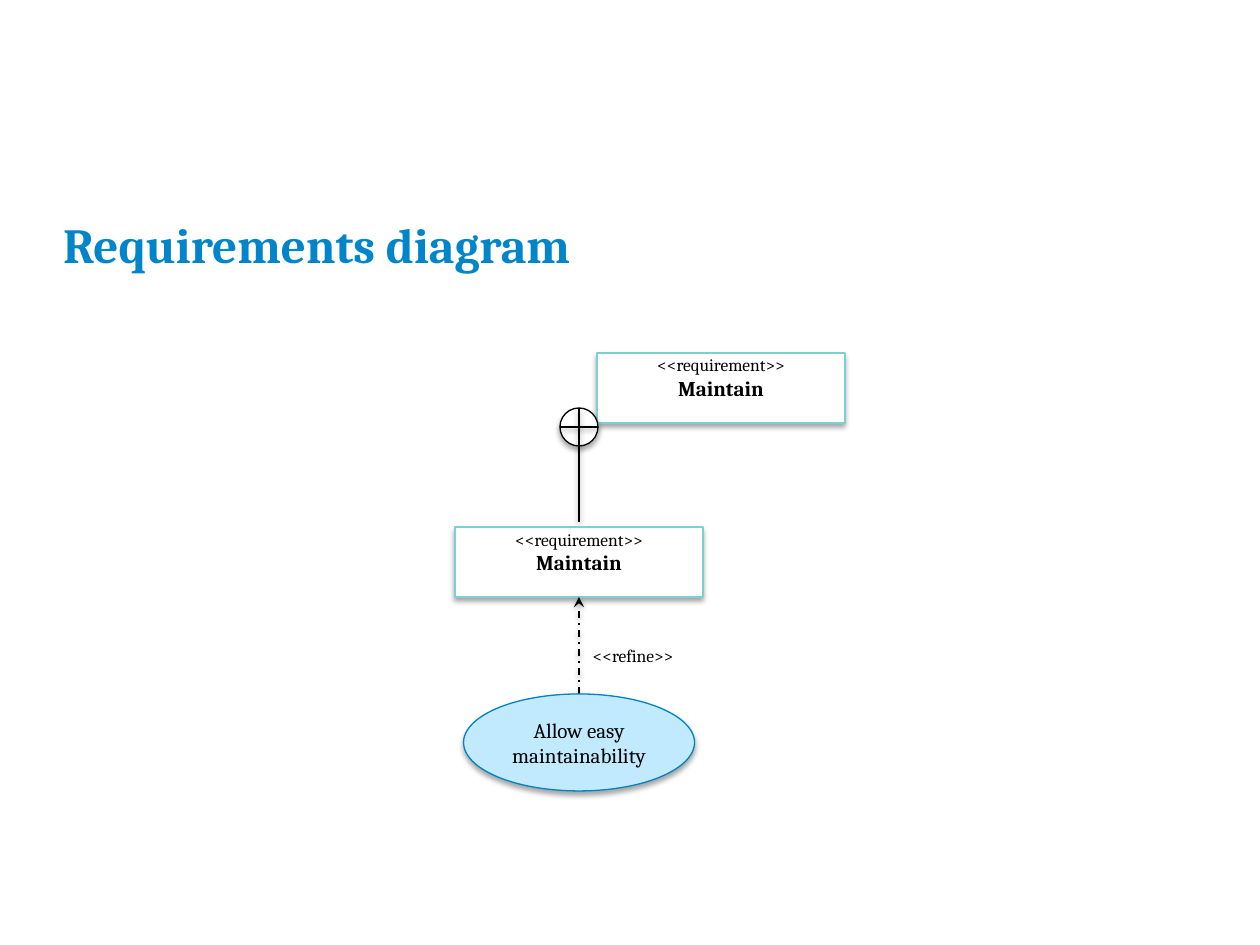
from lxml import etree
from pptx import Presentation
from pptx.dml.color import RGBColor
from pptx.enum.dml import MSO_LINE
from pptx.enum.shapes import MSO_CONNECTOR, MSO_SHAPE
from pptx.enum.text import MSO_ANCHOR, MSO_AUTO_SIZE, PP_ALIGN
from pptx.oxml.ns import qn
from pptx.util import Emu, Pt

RECTANGLE, OVAL = MSO_SHAPE.RECTANGLE, MSO_SHAPE.OVAL
STRAIGHT, DASH_DOT = MSO_CONNECTOR.STRAIGHT, MSO_LINE.DASH_DOT
CENTER, LEFT, MIDDLE = PP_ALIGN.CENTER, PP_ALIGN.LEFT, MSO_ANCHOR.MIDDLE
FIT_SHAPE, NO_FIT = MSO_AUTO_SIZE.SHAPE_TO_FIT_TEXT, MSO_AUTO_SIZE.NONE

BLACK = RGBColor(0x00, 0x00, 0x00)
WHITE = RGBColor(0xFF, 0xFF, 0xFF)
TITLE_BLUE = RGBColor(0x00, 0x85, 0xCA)
TEAL = RGBColor(0x7B, 0xD1, 0xD1)
PALE_BLUE = RGBColor(0xC1, 0xEA, 0xFF)
EDGE_BLUE = RGBColor(0x00, 0x82, 0xC6)
FONT = "Cambria"

# Content, lengths in pixels
TITLE = "Requirements diagram"
AXIS = 579
BOX_WIDTH, BOX_HEIGHT = 248, 70
REQUIREMENTS = [  # name, left, top
    ("Maintain", 597, 353),
    ("Maintain", AXIS - BOX_WIDTH // 2, 527),
]
STEREOTYPE = "<<requirement>>"
SIGN_Y, SIGN_RADIUS = 427, 19
USE_CASE = "Allow easy maintainability"
USE_CASE_WIDTH, USE_CASE_TOP, USE_CASE_HEIGHT = 231, 694, 97
REFINE = "<<refine>>"


def px(value):
    return Emu(round(value * 914400 / 126))


def area(*values):
    return [px(value) for value in values]


def write(shape, text, size, color=BLACK, bold=False, align=CENTER):
    frame = shape.text_frame
    frame.text = text
    frame.vertical_anchor = MIDDLE
    paragraph = frame.paragraphs[0]
    paragraph.alignment = align
    font = paragraph.runs[0].font
    font.name, font.size, font.bold = FONT, Pt(size), bold
    font.color.rgb = color


def add_shadow(effects, distance, opacity):
    shadow = etree.SubElement(effects, qn("a:outerShdw"), blurRad=str(Pt(3.1)),
                              dist=str(Pt(distance)), dir="5400000", rotWithShape="0")
    color = etree.SubElement(shadow, qn("a:srgbClr"), val=str(BLACK))
    etree.SubElement(color, qn("a:alpha"), val=str(opacity * 1000))


def add_node(shapes, kind, box, fill, edge):
    node = shapes.add_shape(kind, *area(*box))
    node.fill.solid()
    node.fill.fore_color.rgb = fill
    node.line.color.rgb = edge
    node.line.width = Pt(0.75)
    node.shadow.inherit = False
    add_shadow(node._element.spPr.find(qn("a:effectLst")), 1.8, 35)
    return node


def add_line(shapes, x1, y1, x2, y2, dash=None, tail=None):
    line = shapes.add_connector(STRAIGHT, *area(x1, y1, x2, y2))
    line.line.color.rgb = BLACK
    line.line.width = Pt(1)
    if dash:
        line.line.dash_style = dash
    properties = line._element.spPr
    if tail:
        etree.SubElement(properties.find(qn("a:ln")), qn("a:tailEnd"), type=tail)
    add_shadow(etree.SubElement(properties, qn("a:effectLst")), 1.6, 38)


def add_label(shapes, text, *box):
    label = shapes.add_textbox(*area(*box))
    write(label, text, 10)
    label.text_frame.word_wrap = False
    label.text_frame.auto_size = FIT_SHAPE


def add_requirement(name, left, top):
    shapes = page.shapes.add_group_shape().shapes
    box = add_node(shapes, RECTANGLE, (left, top, BOX_WIDTH, BOX_HEIGHT), WHITE, TEAL)
    write(box, name, 12, bold=True)
    label_width = 160
    add_label(shapes, STEREOTYPE, left + (BOX_WIDTH - label_width) / 2, top - 5,
              label_width, 34)


deck = Presentation()
deck.slide_width, deck.slide_height = px(1260), px(945)
page = deck.slides.add_slide(deck.slide_layouts[5])

# Title
title = page.shapes.title
title.left, title.top, title.width, title.height = area(63, 205, 1134, 71)
write(title, TITLE, 28, TITLE_BLUE, True, LEFT)
frame = title.text_frame
frame.auto_size = NO_FIT
frame.margin_left = frame.margin_right = frame.margin_bottom = 0
frame.margin_top = px(6)

# Parent requirement
add_requirement(*REQUIREMENTS[0])

# Containment sign and its line
sign = page.shapes.add_group_shape().shapes
sign_left, sign_top = AXIS - SIGN_RADIUS, SIGN_Y - SIGN_RADIUS
sign_right, sign_bottom = AXIS + SIGN_RADIUS, SIGN_Y + SIGN_RADIUS
add_node(sign, OVAL, (sign_left, sign_top, 2 * SIGN_RADIUS, 2 * SIGN_RADIUS), WHITE, BLACK)
add_line(sign, AXIS, sign_top, AXIS, sign_bottom)
add_line(sign, sign_left, SIGN_Y, sign_right, SIGN_Y)
add_line(page.shapes, AXIS, 522, AXIS, sign_bottom)

# Contained requirement
add_requirement(*REQUIREMENTS[1])

# Use case refining it
add_line(page.shapes, AXIS, USE_CASE_TOP, AXIS, REQUIREMENTS[1][2] + BOX_HEIGHT,
         DASH_DOT, "stealth")
use_case = add_node(page.shapes, OVAL,
                    (AXIS - USE_CASE_WIDTH / 2, USE_CASE_TOP, USE_CASE_WIDTH, USE_CASE_HEIGHT),
                    PALE_BLUE, EDGE_BLUE)
write(use_case, USE_CASE, 12)
add_label(page.shapes, REFINE, AXIS, 639, 108, 34)

deck.save("out.pptx")
